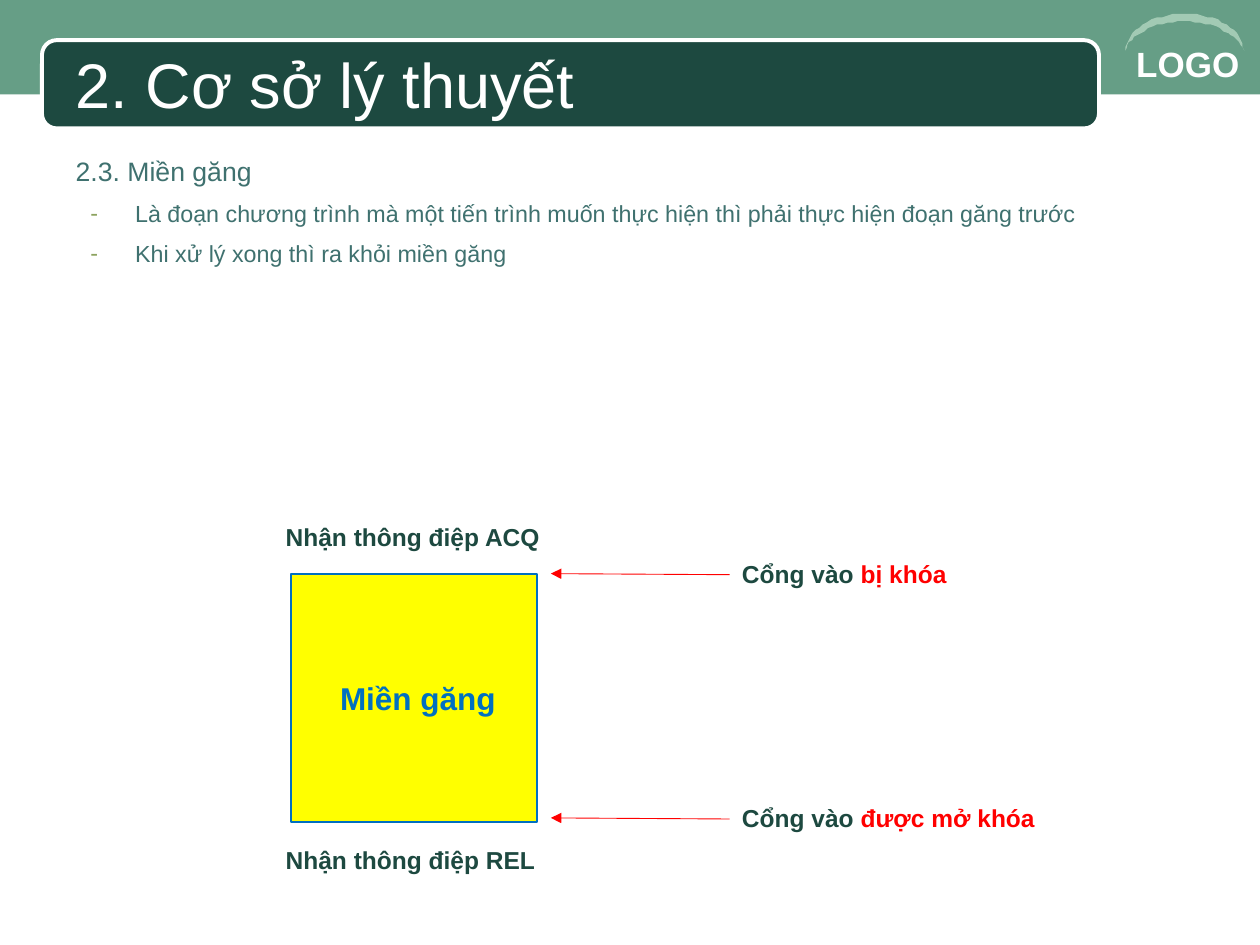
import pptx
import pptx.util
import pptx.dml.color
import pptx.enum.shapes
import pptx.enum.text
import pptx.oxml.ns
import lxml.etree

Pt = pptx.util.Pt
RGB = pptx.dml.color.RGBColor.from_string
SHAPE = pptx.enum.shapes.MSO_SHAPE
qn = pptx.oxml.ns.qn
C = {
    "band": "669E86", "dark": "1D4940", "white": "FFFFFF", "arc": "A2CAB4",
    "body": "3F716F", "bullet": "8CA35F", "yellow": "FFFF00",
    "blue": "0070C0", "red": "FF0000",
}


def add_text(p, text, size=14, color="dark", bold=False):
    r = p.add_run()
    r.text = text
    r.font.name = "Arial"
    r.font.size = Pt(size)
    r.font.bold = bold
    r.font.color.rgb = RGB(C[color])


def style(sp, fill, line=None, width=1):
    sp.shadow.inherit = False
    sp.fill.solid()
    sp.fill.fore_color.rgb = RGB(C[fill])
    if line:
        sp.line.color.rgb = RGB(C[line])
        sp.line.width = Pt(width)
    else:
        sp.line.fill.background()


prs = pptx.Presentation()
prs.slide_width, prs.slide_height = Pt(720), Pt(540)
s = prs.slides.add_slide(prs.slide_layouts[1])
title, body = s.shapes.title, s.placeholders[1]

band = s.shapes.add_shape(SHAPE.RECTANGLE, 0, 0, Pt(720), Pt(54))
style(band, "band")
plate = s.shapes.add_shape(SHAPE.ROUNDED_RECTANGLE, Pt(24), Pt(23), Pt(604), Pt(50.4))
plate.adjustments[0] = 0.167
style(plate, "dark", "white", 2.25)

curves = [
    [(710.6, 28.8), (707.8, 20.9), (694.8, 12.2), (676.8, 12.2)],
    [(676.8, 12.2), (658.8, 12.2), (645.1, 20.9), (643, 28.8)],
    [(643, 28.8), (643, 17.3), (658.1, 7.9), (676.8, 7.9)],
    [(676.8, 7.9), (695.5, 7.9), (710.6, 17.3), (710.6, 28.8)],
]
steps = 16
points = []
for curve in curves:
    for i in range(1, steps + 1):
        t = i / steps
        weights = [(1 - t) ** 3, 3 * t * (1 - t) ** 2, 3 * t * t * (1 - t), t ** 3]
        points.append(tuple(sum(w * pt[k] for w, pt in zip(weights, curve)) for k in (0, 1)))
fb = s.shapes.build_freeform(*curves[0][0], scale=Pt(1))
fb.add_line_segments(points, close=True)
style(fb.convert_to_shape(), "arc")

for ph in (title, body):
    ph.element.getparent().append(ph.element)
title.left, title.top, title.width, title.height = Pt(36), Pt(25.2), Pt(582), Pt(44.6)
tf = title.text_frame
tf.auto_size = pptx.enum.text.MSO_AUTO_SIZE.NONE
tf.vertical_anchor = pptx.enum.text.MSO_ANCHOR.MIDDLE
p = tf.paragraphs[0]
p.alignment = pptx.enum.text.PP_ALIGN.LEFT
add_text(p, "2. Cơ sở lý thuyết", size=36, color="white")

body.left, body.top, body.width, body.height = Pt(36), Pt(85), Pt(675), Pt(194)
tf = body.text_frame
tf.auto_size = pptx.enum.text.MSO_AUTO_SIZE.NONE
items = [
    ("2.3. Miền găng", False),
    ("Là đoạn chương trình mà một tiến trình muốn thực hiện thì phải thực hiện đoạn găng trước", True),
    ("Khi xử lý xong thì ra khỏi miền găng", True),
]
for i, (text, bulleted) in enumerate(items):
    p = tf.add_paragraph() if i else tf.paragraphs[0]
    p.space_before = Pt(7 if bulleted else 8)
    add_text(p, text, size=13.3 if bulleted else 15.2, color="body")
    pPr = p._p.get_or_add_pPr()
    pPr.set("marL", str(Pt(34 if bulleted else 0)))
    pPr.set("indent", str(Pt(-25.5 if bulleted else 0)))
    if bulleted:
        clr = lxml.etree.SubElement(pPr, qn("a:buClr"))
        lxml.etree.SubElement(clr, qn("a:srgbClr")).set("val", C["bullet"])
        lxml.etree.SubElement(pPr, qn("a:buFont")).set("typeface", "Arial")
        lxml.etree.SubElement(pPr, qn("a:buChar")).set("char", "-")
    else:
        lxml.etree.SubElement(pPr, qn("a:buNone"))

region = s.shapes.add_shape(SHAPE.RECTANGLE, Pt(166.3), Pt(327.8), Pt(140.6), Pt(142))
style(region, "yellow", "blue")

labels = [
    (642.2, 20.9, 77.8, 31.5, 20, [("LOGO", "white")]),
    (187.2, 384.5, 109.4, 29, 18, [("Miền găng", "blue")]),
    (156.2, 294.5, 198.7, 24.5, 14, [("Nhận thông điệp ACQ", "dark")]),
    (156.2, 479.5, 198.7, 24.5, 14, [("Nhận thông điệp REL", "dark")]),
    (416.9, 316, 198.7, 24.5, 14, [("Cổng vào ", "dark"), ("bị khóa", "red")]),
    (416.9, 455.2, 198.7, 24.5, 14, [("Cổng vào ", "dark"), ("được mở khóa", "red")]),
]
for x, y, w, h, size, runs in labels:
    sp = s.shapes.add_textbox(Pt(x), Pt(y), Pt(w), Pt(h))
    sp.text_frame.word_wrap = True
    for text, color in runs:
        add_text(sp.text_frame.paragraphs[0], text, size=size, color=color, bold=True)

for y in (327.8, 467.4):
    arrow = s.shapes.add_connector(
        pptx.enum.shapes.MSO_CONNECTOR.STRAIGHT, Pt(416.9), Pt(y + 0.6), Pt(314.8), Pt(y))
    arrow.line.color.rgb = RGB(C["red"])
    arrow.line.width = Pt(0.5)
    lxml.etree.SubElement(arrow.line._get_or_add_ln(), qn("a:tailEnd")).set("type", "triangle")
    lxml.etree.SubElement(arrow.element.spPr, qn("a:effectLst"))

prs.save("out.pptx")
